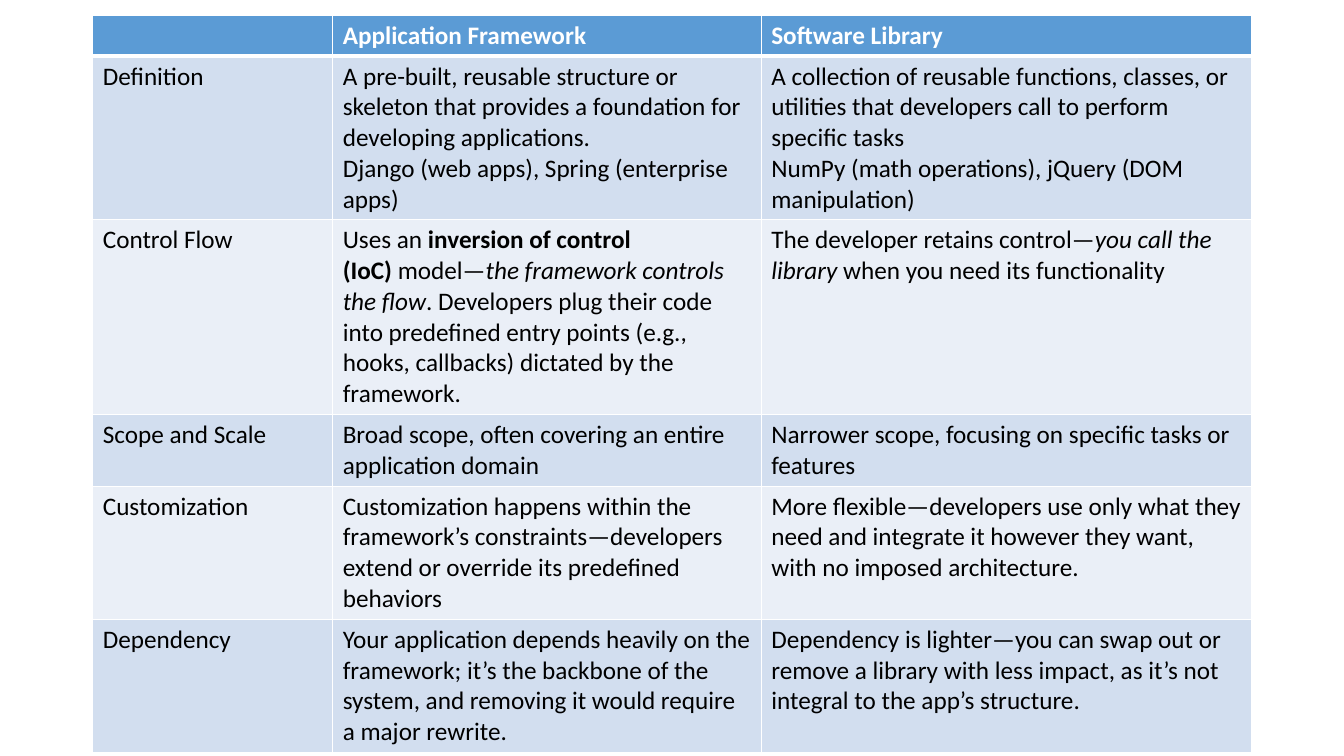
from dataclasses import dataclass

from lxml import etree
from pptx import Presentation
from pptx import util as u
from pptx.dml.color import RGBColor
from pptx.oxml import ns


@dataclass(frozen=True)
class Theme:
    font: str = "Calibri"
    size: int = 18
    header_text: str = "FFFFFF"
    body_text: str = "000000"
    header_fill: str = "5B9BD5"
    bands: tuple = ("D2DEEF", "EAEFF7")
    border: str = "FFFFFF"
    thin: int = 1
    thick: int = 3


THEME = Theme()
LINE_HEIGHT = 0.3
CELL_PADDING = 0.1
COLUMN_WIDTHS = (2.38, 4.25, 4.86)
ROW_LINES = (1, 5, 6, 2, 4, 4)
NBSP = chr(160)
BOLD = {"bold": True}
ITALIC = {"italic": True}

# A cell is a list of paragraphs; a paragraph is a list of (text, format) spans.
ROWS = [
    [[], [[("Application Framework", BOLD)]], [[("Software Library", BOLD)]]],
    [
        [[("Definition", {})]],
        [
            [("A pre-built, reusable structure or skeleton that provides a "
              "foundation for developing applications.", {})],
            [("Django (web apps), Spring (enterprise apps)", {})],
        ],
        [
            [("A collection of reusable functions, classes, or utilities that "
              "developers call to perform specific tasks", {})],
            [("NumPy (math operations), jQuery (DOM manipulation)", {})],
        ],
    ],
    [
        [[("Control Flow", {})]],
        [[
            (f"Uses an{NBSP}", {}),
            ("inversion of control (IoC)", BOLD),
            (f"{NBSP}model—", {}),
            ("the framework controls the flow", ITALIC),
            (". Developers plug their code into predefined entry points "
             "(e.g., hooks, callbacks) dictated by the framework.", {}),
        ]],
        [[
            ("The developer retains control—", {}),
            ("you call the library", ITALIC),
            (f"{NBSP}when you need its functionality", {}),
        ]],
    ],
    [
        [[("Scope and Scale", {})]],
        [[(f"Broad scope, often covering an entire application domain{NBSP}", {})]],
        [[("Narrower scope, focusing on specific tasks or features", {})]],
    ],
    [
        [[("Customization", {})]],
        [[("Customization happens within the framework’s constraints—developers "
           "extend or override its predefined behaviors", {})]],
        [[("More flexible—developers use only what they need and integrate it "
           "however they want, with no imposed architecture.", {})]],
    ],
    [
        [[("Dependency", {})]],
        [[("Your application depends heavily on the framework; it’s the backbone "
           "of the system, and removing it would require a major rewrite.", {})]],
        [[("Dependency is lighter—you can swap out or remove a library with less "
           "impact, as it’s not integral to the app’s structure.", {})]],
    ],
]


def set_borders(cell, widths):
    """Draw the cell edges; widths maps L, R, T, B to points, in that order."""
    properties = cell._tc.get_or_add_tcPr()
    for side, width in widths.items():
        line = etree.SubElement(properties, ns.qn(f"a:ln{side}"), w=str(u.Pt(width)))
        fill = etree.SubElement(line, ns.qn("a:solidFill"))
        etree.SubElement(fill, ns.qn("a:srgbClr"), val=THEME.border)


def write_cell(cell, paragraphs, color):
    frame = cell.text_frame
    for index, spans in enumerate(paragraphs):
        para = frame.add_paragraph() if index else frame.paragraphs[0]
        for text, style in spans:
            span = para.add_run()
            span.text = text
            values = {"name": THEME.font, "size": u.Pt(THEME.size),
                      "bold": False, "italic": False, **style}
            for name, value in values.items():
                setattr(span.font, name, value)
            span.font.color.rgb = RGBColor.from_string(color)


def add_comparison(page, left, top):
    heights = [lines * LINE_HEIGHT + CELL_PADDING for lines in ROW_LINES]
    table = page.shapes.add_table(
        len(ROWS), len(COLUMN_WIDTHS), u.Inches(left), u.Inches(top),
        u.Inches(sum(COLUMN_WIDTHS)), u.Inches(sum(heights))).table
    for column, width in zip(table.columns, COLUMN_WIDTHS):
        column.width = u.Inches(width)
    for index, (row, height, contents) in enumerate(zip(table.rows, heights, ROWS)):
        row.height = u.Inches(height)
        is_header = index == 0
        fill = THEME.header_fill if is_header else THEME.bands[(index - 1) % 2]
        color = THEME.header_text if is_header else THEME.body_text
        borders = {"L": THEME.thin, "R": THEME.thin,
                   "T": THEME.thick if index == 1 else THEME.thin,
                   "B": THEME.thick if is_header else THEME.thin}
        for cell, paragraphs in zip(row.cells, contents):
            set_borders(cell, borders)
            cell.fill.solid()
            cell.fill.fore_color.rgb = RGBColor.from_string(fill)
            write_cell(cell, paragraphs, color)


def main():
    deck = Presentation()
    deck.slide_width, deck.slide_height = u.Inches(13.33), u.Inches(7.5)
    blank_layout = deck.slide_layouts[6]
    page = deck.slides.add_slide(blank_layout)
    add_comparison(page, 0.92, 0.15)
    deck.save("out.pptx")


if __name__ == "__main__":
    main()
